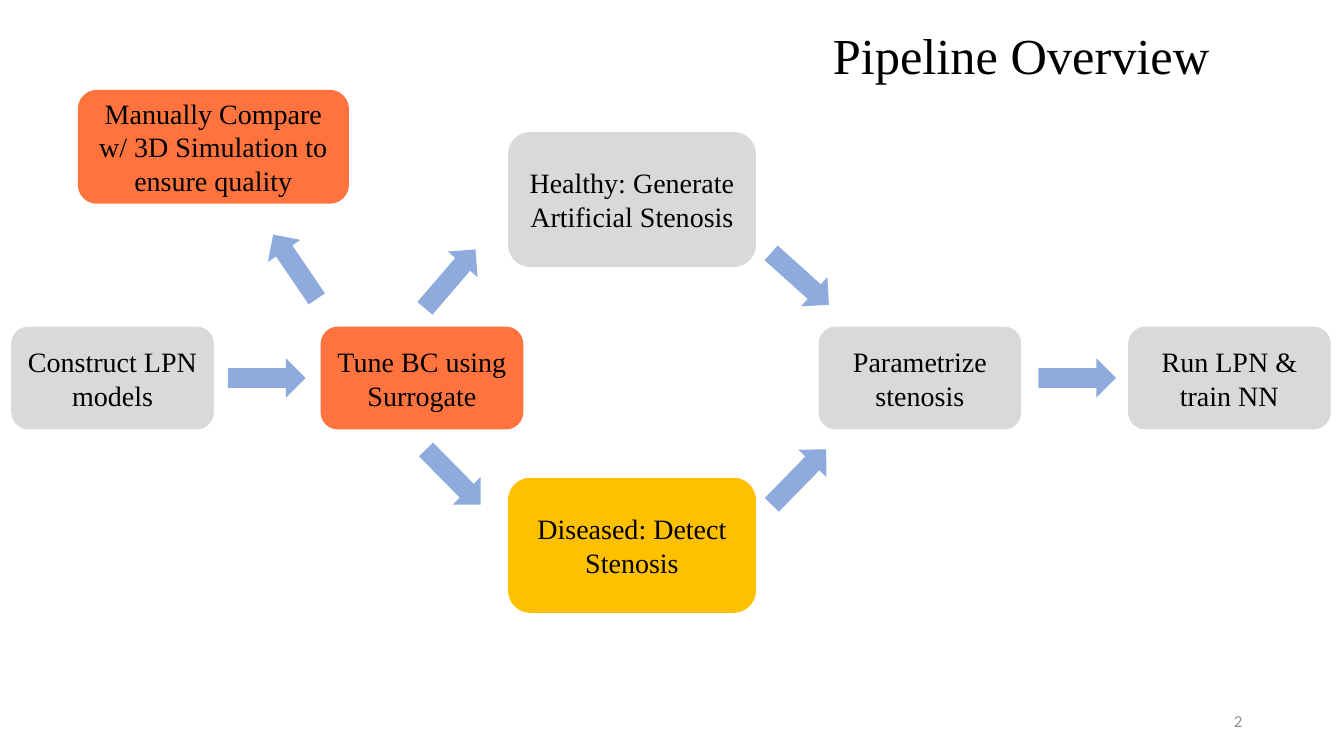
from dataclasses import dataclass

from pptx import Presentation
from pptx.dml.color import RGBColor as Rgb
from pptx.enum.shapes import MSO_SHAPE as Preset
from pptx.enum.text import MSO_ANCHOR as Anchor, MSO_AUTO_SIZE as AutoSize, PP_ALIGN as Align
from pptx.util import Inches, Pt


@dataclass(frozen=True)
class Theme:
    serif: str = "Times New Roman"
    sans: str = "Calibri"
    title_size: int = 36
    step_size: int = 20
    number_size: int = 12
    ink: str = "000000"
    muted: str = "8C8C8C"
    plain: str = "D9D9D9"
    tuning: str = "FF733F"
    diseased: str = "FFC000"
    arrow: str = "8FAADC"


THEME = Theme()
COLUMNS, ROWS = 40, 22.5

MIDDLE = 11.25
UPPER_ARROWS, LOWER_ARROWS = MIDDLE - 2.95, MIDDLE + 2.95
FIRST, TUNE, PARAMETRIZE, LAST = 3.35, 12.56, 27.38, 36.59
BRANCH = 18.81
STEP_SIZE, BRANCH_SIZE, COMPARE_SIZE = (6.03, 3.06), (7.38, 4.02), (8.07, 3.39)
ARROW_SIZE = (1.17, 2.31)

# Text, centre column, centre row, size, fill
STEPS = [
    ("Construct LPN models", FIRST, MIDDLE, STEP_SIZE, THEME.plain),
    ("Tune BC using Surrogate", TUNE, MIDDLE, STEP_SIZE, THEME.tuning),
    ("Manually Compare w/ 3D Simulation to ensure quality", 6.35, 4.37, COMPARE_SIZE, THEME.tuning),
    ("Healthy: Generate Artificial Stenosis", BRANCH, 5.94, BRANCH_SIZE, THEME.plain),
    ("Diseased: Detect Stenosis", BRANCH, 16.23, BRANCH_SIZE, THEME.diseased),
    ("Parametrize stenosis", PARAMETRIZE, MIDDLE, STEP_SIZE, THEME.plain),
    ("Run LPN & train NN", LAST, MIDDLE, STEP_SIZE, THEME.plain),
]

# Centre column, centre row, clockwise turn from pointing up
ARROWS = [
    (7.94, MIDDLE, 90),
    (8.78, 7.94, 325.8),
    (13.4, UPPER_ARROWS, 40.6),
    (13.49, LOWER_ARROWS, 135.4),
    (23.81, UPPER_ARROWS, 132),
    (23.78, LOWER_ARROWS, 44.4),
    (32.06, MIDDLE, 90),
]


def grid_box(area, column, row, columns, rows):
    """Turn grid cells of an area into left, top, width and height."""
    left, top, width, height = area
    cell_width, cell_height = width / COLUMNS, height / ROWS
    return (int(left + column * cell_width), int(top + row * cell_height),
            int(columns * cell_width), int(rows * cell_height))


def write_text(frame, text, align, anchor, font_name, size, color):
    frame.word_wrap = True
    frame.auto_size = AutoSize.NONE
    frame.vertical_anchor = anchor
    para = frame.paragraphs[0]
    para.text = text
    para.alignment = align
    para.font.name = font_name
    para.font.size = Pt(size)
    para.font.color.rgb = Rgb.from_string(color)


def add_block(slide, area, preset, column, row, size, fill):
    """Add a flat filled shape centred on a grid point."""
    columns, rows = size
    box = grid_box(area, column - columns / 2, row - rows / 2, columns, rows)
    block = slide.shapes.add_shape(preset, *box)
    block.shadow.inherit = False
    block.fill.solid()
    block.fill.fore_color.rgb = Rgb.from_string(fill)
    block.line.fill.background()
    return block


def place_title(slide, box):
    title = slide.shapes.title
    title.left, title.top, title.width, title.height = box
    write_text(title.text_frame, "Pipeline Overview", Align.LEFT, Anchor.TOP,
               THEME.serif, THEME.title_size, THEME.ink)


def draw_pipeline(slide, area):
    for column, row, turn in ARROWS:
        arrow = add_block(slide, area, Preset.UP_ARROW, column, row, ARROW_SIZE, THEME.arrow)
        arrow.rotation = turn
    for text, column, row, size, fill in STEPS:
        step = add_block(slide, area, Preset.ROUNDED_RECTANGLE, column, row, size, fill)
        write_text(step.text_frame, text, Align.CENTER, Anchor.MIDDLE,
                   THEME.serif, THEME.step_size, THEME.ink)


def place_number(slide, box):
    number = slide.shapes.add_textbox(*box)
    write_text(number.text_frame, "2", Align.RIGHT, Anchor.MIDDLE,
               THEME.sans, THEME.number_size, THEME.muted)


def main():
    deck = Presentation()
    deck.slide_width, deck.slide_height = Inches(13.33), Inches(7.5)
    area = (0, 0, deck.slide_width, deck.slide_height)
    title_only = deck.slide_layouts[5]
    slide = deck.slides.add_slide(title_only)
    place_title(slide, grid_box(area, 24.49, 0.57, 15, 2.13))
    draw_pipeline(slide, area)
    place_number(slide, grid_box(area, 28.27, 20.85, 9, 1.2))
    deck.save("out.pptx")


if __name__ == "__main__":
    main()
